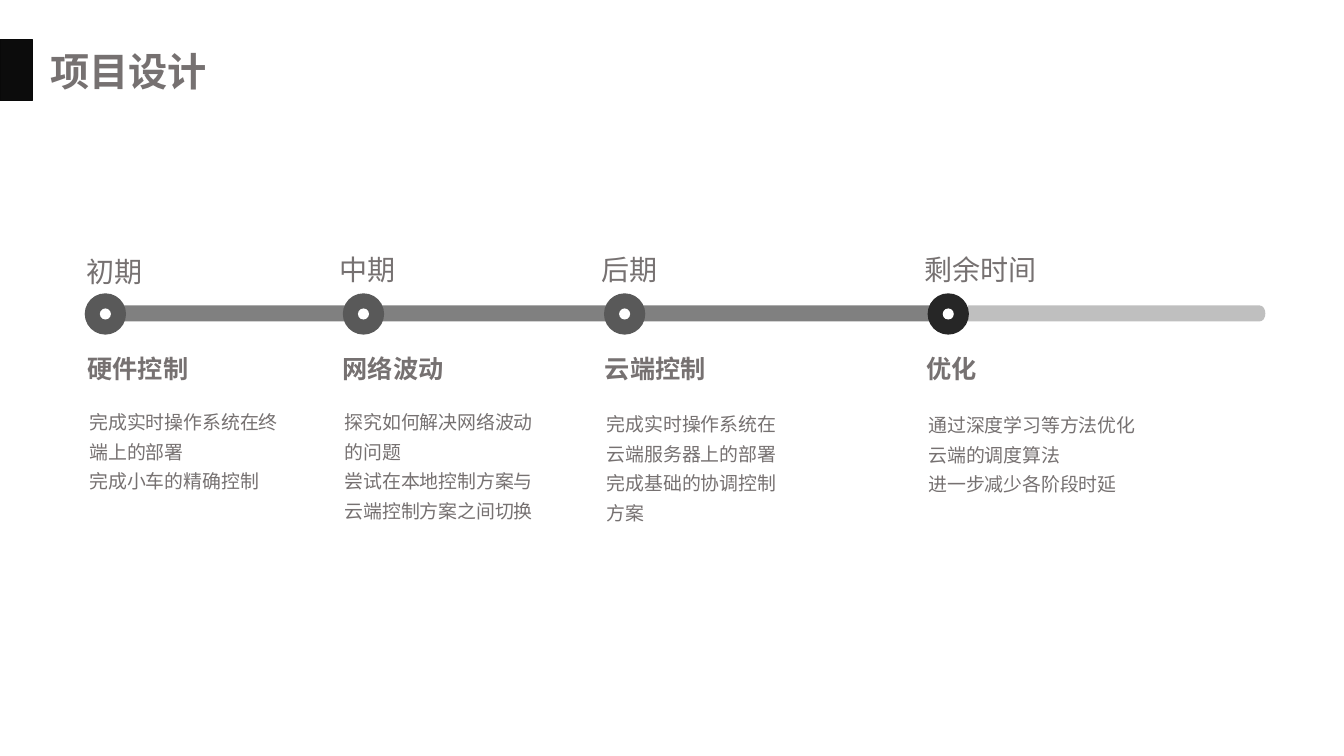
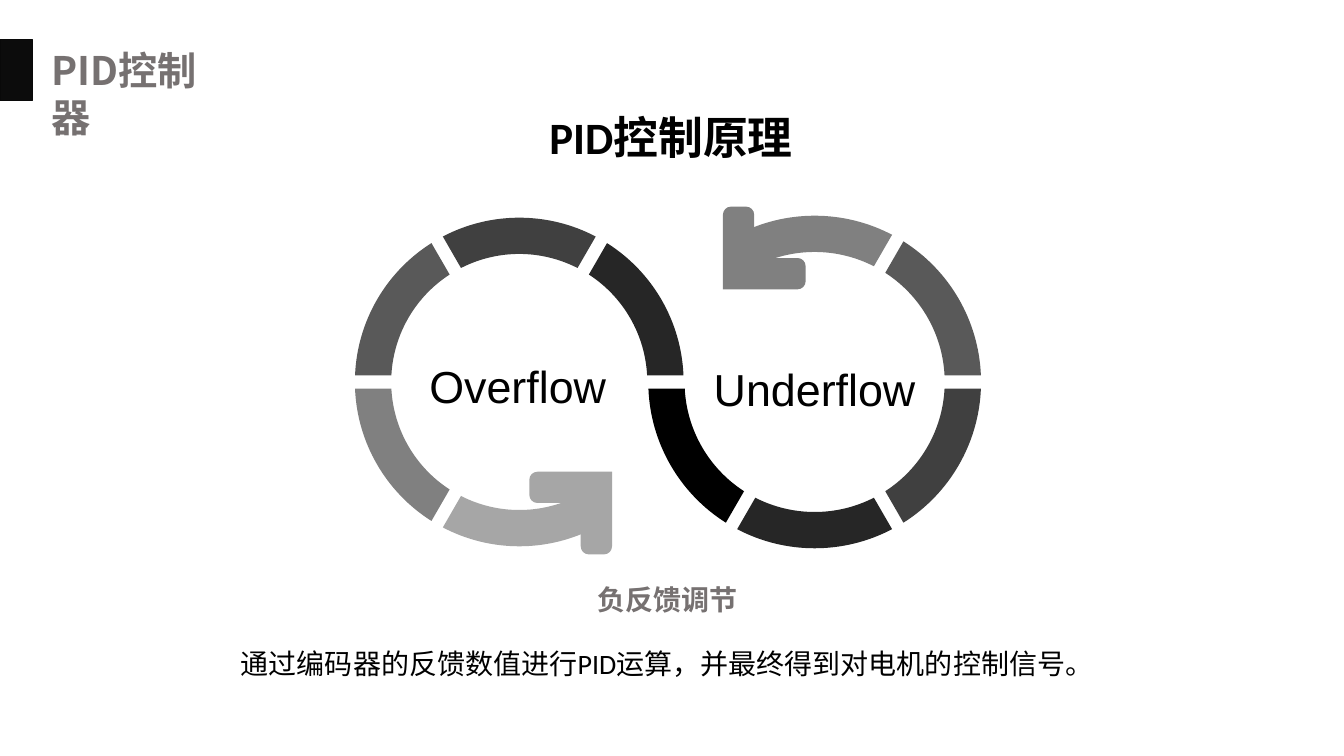
import math
import pptx
import pptx.util
import pptx.dml.color
import pptx.enum.shapes
import pptx.enum.text
import pptx.oxml.ns
from lxml import etree

Inches = pptx.util.Inches
RGB = pptx.dml.color.RGBColor
SHAPE = pptx.enum.shapes.MSO_SHAPE
ALIGN = pptx.enum.text.PP_ALIGN
qn = pptx.oxml.ns.qn

# Shared colours and fonts
INK = RGB(0x0C, 0x0C, 0x0C)
EDGE = RGB(0x09, 0x09, 0x09)
TEXT = RGB(0x76, 0x71, 0x71)
BLACK = RGB(0, 0, 0)
WHITE = RGB(0xFF, 0xFF, 0xFF)
COAL = RGB(0x26, 0x26, 0x26)
DARK = RGB(0x40, 0x40, 0x40)
SLATE = RGB(0x59, 0x59, 0x59)
GREY = RGB(0x80, 0x80, 0x80)
ASH = RGB(0xA6, 0xA6, 0xA6)
PALE = RGB(0xBF, 0xBF, 0xBF)
HAN = "Noto Sans CJK SC"

# Stages: dot left and colour, label left and top, label,
# head left, head, body top, width and height, body
STAGES = [
    (0.84, SLATE, 0.76, 2.48, "初期", 0.77, "硬件控制", 3.96, 2.08, 0.96,
     ["完成实时操作系统在终端上的部署", "完成小车的精确控制"]),
    (3.4, SLATE, 3.27, 2.46, "中期", 3.3, "网络波动", 3.96, 2.08, 1.55,
     ["探究如何解决网络波动的问题", "尝试在本地控制方案与云端控制方案之间切换"]),
    (5.99, SLATE, 5.87, 2.46, "后期", 5.9, "云端控制", 3.98, 1.99, 1.26,
     ["完成实时操作系统在云端服务器上的部署", "完成基础的协调控制方案"]),
    (9.2, COAL, 9.07, 2.46, "剩余时间", 9.09, "优化", 3.99, 2.42, 0.96,
     ["通过深度学习等方法优化云端的调度算法", "进一步减少各阶段时延"]),
]

# Bars: square end, start of the round end, bulge, colour
BARS = [(9.6, 12.49, 0.06, PALE), (9.4, 1.01, -0.06, GREY)]

# Rings: centre x, radii, then colour by start angle, clockwise from the right
RINGS = [
    (5.15, 1.63, 1.27, {60: ASH, 120: GREY, 180: SLATE, 240: DARK, 300: COAL}),
    (8.08, 1.65, 1.29, {0: DARK, 60: COAL, 120: BLACK, 240: GREY, 300: SLATE}),
]
MID, SLIT = 3.79, 0.13

# Arrow heads: tip x, tip y, direction, colour
HEADS = [(6.07, 4.68, 1, ASH), (7.17, 2.87, -1, GREY)]

# Captions: left, top, width, height, text, size, font, colour, bold, alignment
NOTES = [
    (6.98, 3.54, 2.25, 0.64, "Underflow", 32, "Arial", BLACK, False, ALIGN.LEFT),
    (4.16, 3.51, 2.27, 0.64, "Overflow", 32, "Arial", BLACK, False, ALIGN.LEFT),
    (5.82, 5.73, 1.61, 0.44, "负反馈调节", 20, "Arial", TEXT, True, ALIGN.CENTER),
    (5.35, 1.04, 3.43, 0.64, "PID控制原理", 32, "Calibri", BLACK, True, ALIGN.LEFT),
    (2.29, 6.36, 8.75, 0.44, "通过编码器的反馈数值进行PID运算，并最终得到对电机的控制信号。",
     20, "Calibri", BLACK, False, ALIGN.LEFT),
]


def place(x, y, w, h):
    return [Inches(v) for v in (x, y, w, h)]


def style(frame, size, face, color, bold=False, align=ALIGN.LEFT, space=None):
    frame.word_wrap = True
    frame.auto_size = pptx.enum.text.MSO_AUTO_SIZE.NONE
    frame.vertical_anchor = pptx.enum.text.MSO_ANCHOR.TOP
    for para in frame.paragraphs:
        para.alignment = align
        para.line_spacing = space
        for run in para.runs:
            font = run.font
            font.size, font.bold = pptx.util.Pt(size), bold
            font.name = face
            font.color.rgb = color
            east = etree.SubElement(run._r.get_or_add_rPr(), qn("a:ea"))
            east.set("typeface", HAN)


def write(slide, x, y, w, h, text, *look, **more):
    frame = slide.shapes.add_textbox(*place(x, y, w, h)).text_frame
    frame.text = text
    style(frame, *look, **more)


def span(text, size):
    return len(text) * size / 72 + 0.21


def paint(shape, color, edge=None):
    shape.shadow.inherit = False
    shape.fill.solid()
    shape.fill.fore_color.rgb = color
    if edge is None:
        shape.line.fill.background()
    else:
        shape.line.color.rgb = edge
        shape.line.width = pptx.util.Pt(1)


def block(slide, kind, x, y, w, h, color, edge=None):
    paint(slide.shapes.add_shape(kind, *place(x, y, w, h)), color, edge)


def trace(slide, steps, color):
    """A step is [point], or [control, control, point, middle] for a curve."""
    marks = [[(Inches(x), Inches(y)) for x, y in step] for step in steps]
    form = slide.shapes.build_freeform(*marks[0][0], scale=1.0)
    form.add_line_segments([spot for mark in marks[1:] for spot in mark[2:] or mark])
    shape = form.convert_to_shape()
    # Swap the straight segments for lines and curves
    route = next(shape._element.iter(qn("a:path")))
    for part in list(route)[1:]:
        route.remove(part)
    for mark in marks[1:]:
        kind = "a:cubicBezTo" if len(mark) > 1 else "a:lnTo"
        part = etree.SubElement(route, qn(kind))
        for x, y in mark[:3]:
            spot = etree.SubElement(part, qn("a:pt"))
            spot.set("x", str(x - shape.left))
            spot.set("y", str(y - shape.top))
    etree.SubElement(route, qn("a:close"))
    paint(shape, color)


def arc(x, y, radius, low, high):
    """Line to the start of an arc, then the arc as one curve."""
    low, high = math.radians(low), math.radians(high)
    pull = 4 / 3 * math.tan((high - low) / 4)

    def spot(turn, shift=0):
        cos, sin = math.cos(turn), math.sin(turn)
        return x + radius * (cos - shift * sin), y + radius * (sin + shift * cos)

    return [[spot(low)],
            [spot(low, pull), spot(high, -pull), spot(high), spot((low + high) / 2)]]


def start(deck, title, x, y, width):
    slide = deck.slides.add_slide(deck.slide_layouts[5])
    block(slide, SHAPE.RECTANGLE, 0, 0.39, 0.32, 0.61, INK, EDGE)
    head = slide.shapes.title
    head.left, head.top, head.width, head.height = place(x, y, width, 0.57)
    head.text_frame.text = title
    style(head.text_frame, 28, HAN, TEXT, True)
    return slide


def plan(deck):
    slide = start(deck, "项目设计", 0.4, 0.42, 1.77)
    # Track
    top, base = 3.03, 3.19
    for flat, turn, bulge, color in BARS:
        pull = turn + bulge * 4 / 3
        cap = [(pull, top), (pull, base), (turn, base), (turn + bulge, (top + base) / 2)]
        trace(slide, [[(flat, top)], [(turn, top)], cap, [(flat, base)]], color)
    # Dots and texts
    dot, hole = 0.41, 0.11
    gap = (dot - hole) / 2
    for left, color, lx, ly, label, x, head, y, width, tall, body in STAGES:
        block(slide, SHAPE.OVAL, left, 2.91, dot, dot, color)
        block(slide, SHAPE.OVAL, left + gap, 2.91 + gap, hole, hole, WHITE)
        write(slide, lx, ly, span(label, 20), 0.44, label, 20, "Calibri", TEXT)
        write(slide, x, 3.46, span(head, 18), 0.4, head, 18, "Arial", TEXT, True)
        write(slide, x + 0.02, y, width, tall, "\n".join(body),
              13.5, "Calibri", TEXT, space=1.3)


def loop(deck):
    slide = start(deck, "PID控制器", 0.41, 0.41, 1.98)
    # Ring parts of 60 degrees, parted by slits of even width
    for x, outer, inner, parts in RINGS:
        wide, slim = [math.degrees(math.asin(SLIT / 2 / r)) for r in (outer, inner)]
        for turn, color in parts.items():
            end = turn + 60
            trace(slide, arc(x, MID, outer, turn + wide, end - wide)
                  + arc(x, MID, inner, end - slim, turn + slim), color)
    # Arrow heads with rounded ends
    size, thick, bend = 0.82, 0.31, 0.08
    near, far, deep = bend - size, size - bend, thick - bend
    for x, y, sign, color in HEADS:
        outline = ([[(0, 0)]] + arc(near, bend, bend, 270, 180)
                   + arc(near, deep, bend, 180, 90) + [[(-thick, thick)]]
                   + arc(-deep, far, bend, 180, 90) + arc(-bend, far, bend, 90, 0))
        trace(slide, [[(x + sign * dx, y + sign * dy) for dx, dy in step]
                      for step in outline], color)
    # Captions
    for note in NOTES:
        write(slide, *note)


def main():
    deck = pptx.Presentation()
    deck.slide_width, deck.slide_height = Inches(13.33), Inches(7.5)
    plan(deck)
    loop(deck)
    deck.save("out.pptx")


if __name__ == "__main__":
    main()
